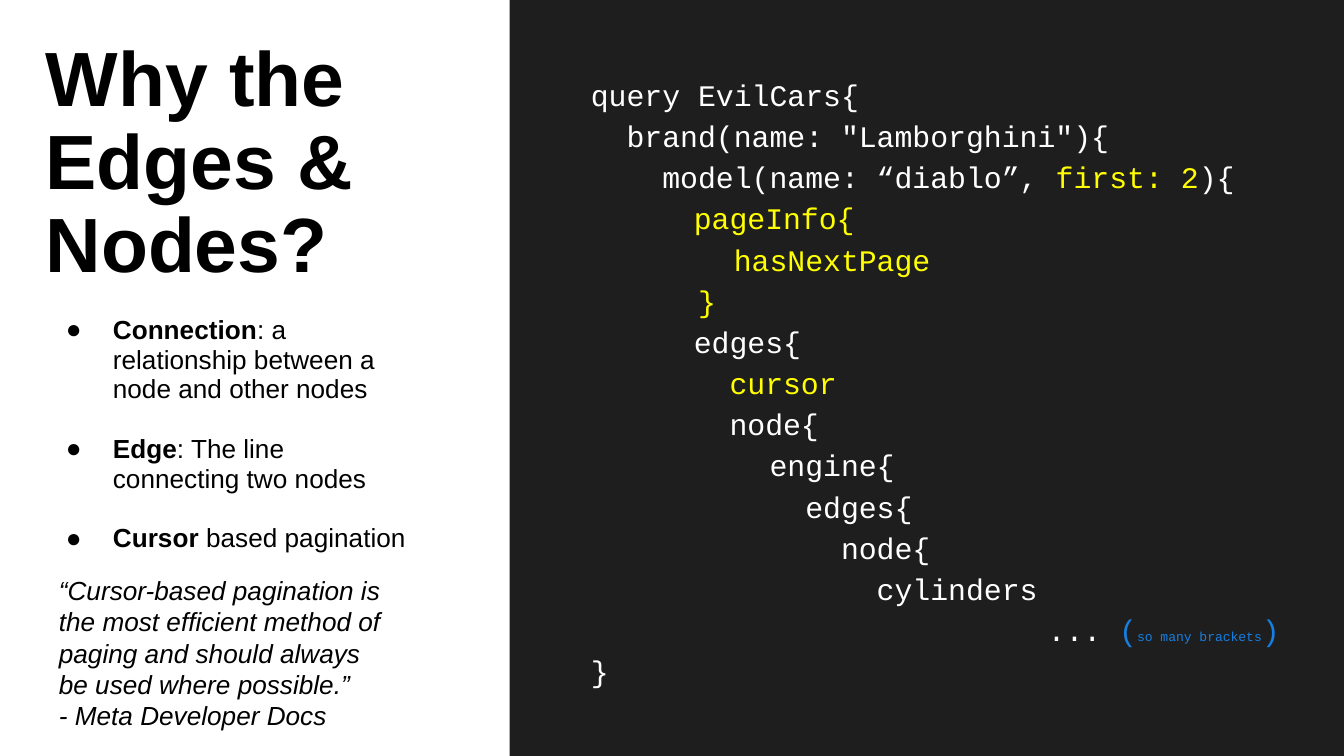
from pptx import Presentation
from pptx.dml.color import RGBColor
from pptx.enum.shapes import MSO_SHAPE as SHAPE
from pptx.enum.text import MSO_ANCHOR as ANCHOR, MSO_AUTO_SIZE as AUTO, PP_ALIGN as ALIGN
from pptx.oxml.ns import qn
from pptx.util import Pt
from lxml.etree import SubElement

WHITE = RGBColor(0xFF, 0xFF, 0xFF)
BLACK = RGBColor(0, 0, 0)
DARK = RGBColor(0x1E, 0x1E, 0x1E)
YELLOW = RGBColor(0xFF, 0xFF, 0)
BLUE = RGBColor(0x16, 0x7F, 0xE2)

# Content
TITLE = "Why the Edges & Nodes?"
TERMS = [
    ("Connection", ": a relationship between a node and other nodes"),
    ("Edge", ": The line connecting two nodes"),
    ("Cursor", " based pagination"),
]
QUOTE = [
    "“Cursor-based pagination is the most efficient method of paging "
    "and should always be used where possible.”",
    "- Meta Developer Docs",
]
# Each code line: first-line indent, then runs of (text, colour, size)
CODE = [
    (0, [("query EvilCars{", WHITE, 16)]),
    (0, [('  brand(name: "Lamborghini"){', WHITE, 16)]),
    (0, [("    model(name: “diablo”, ", WHITE, 16), ("first: 2", YELLOW, 16), ("){", WHITE, 16)]),
    (36, [("  pageInfo{", YELLOW, 16)]),
    (0, [("        hasNextPage", YELLOW, 16)]),
    (0, [("      }", YELLOW, 16)]),
    (36, [("  edges{", WHITE, 16)]),
    (36, [("    cursor", YELLOW, 16)]),
    (36, [("    node{", WHITE, 16)]),
    (0, [("          engine{", WHITE, 16)]),
    (0, [("            edges{", WHITE, 16)]),
    (0, [("              node{", WHITE, 16)]),
    (0, [("                cylinders", WHITE, 16)]),
    (216, [("   ... ", WHITE, 16), ("(", BLUE, 16), ("so many brackets", BLUE, 7), (")", BLUE, 16)]),
    (0, [("}", WHITE, 16)]),
]

# Layout in points
WIDTH, HEIGHT = 720, 405
LEFT, COLUMN = 24.5, 195
PANEL_LEFT = 273


def place(shape, left, top, width, height):
    shape.left, shape.top, shape.width, shape.height = map(Pt, (left, top, width, height))


def prepare(tf, inset):
    tf.word_wrap = True
    tf.auto_size = AUTO.NONE
    tf.vertical_anchor = ANCHOR.TOP
    tf.margin_left = tf.margin_right = tf.margin_top = tf.margin_bottom = Pt(inset)


def paragraphs(tf, count):
    return [tf.paragraphs[0]] + [tf.add_paragraph() for _ in range(count - 1)]


def style(font, name, size, color, bold=False, italic=False):
    font.name, font.size, font.bold, font.italic = name, Pt(size), bold, italic
    font.color.rgb = color


def space(p, line, before=0):
    p.alignment = ALIGN.LEFT
    p.line_spacing = line
    p.space_before = Pt(before)


def indent(p, margin, first):
    pPr = p._p.get_or_add_pPr()
    pPr.set("marL", str(Pt(margin)))
    pPr.set("indent", str(Pt(first)))
    return pPr


def add_bullet(p):
    pPr = indent(p, 36, -25.2)
    color = SubElement(pPr, qn("a:buClr"))
    SubElement(color, qn("a:srgbClr"), val=str(BLACK))
    SubElement(pPr, qn("a:buFont"), typeface="Arial")
    SubElement(pPr, qn("a:buChar"), char="●")


def add_box(s, left, top, width, height, fill=None):
    box = s.shapes.add_shape(SHAPE.RECTANGLE, *map(Pt, (left, top, width, height)))
    box.shadow.inherit = False
    box.line.fill.background()
    if fill is None:
        box.fill.background()
    else:
        box.fill.solid()
        box.fill.fore_color.rgb = fill
    prepare(box.text_frame, 7.2)
    return box


prs = Presentation()
prs.slide_width, prs.slide_height = Pt(WIDTH), Pt(HEIGHT)
s = prs.slides.add_slide(prs.slide_layouts[1])
title, body = s.placeholders

# Dark panel
add_box(s, PANEL_LEFT, 0, WIDTH - PANEL_LEFT, HEIGHT, DARK)

# Title
place(title, LEFT, 21.5, COLUMN, 85.5)
prepare(title.text_frame, 0)
title.text_frame.text = TITLE
p = title.text_frame.paragraphs[0]
space(p, 0.9)
style(p.runs[0].font, "Arial", 41.2, BLACK, bold=True)

# Terms
place(body, LEFT, 169, COLUMN, 102.5)
prepare(body.text_frame, 0)
for i, (p, term) in enumerate(zip(paragraphs(body.text_frame, len(TERMS)), TERMS)):
    space(p, 0.95, 16 if i else 0)
    add_bullet(p)
    for text, bold in zip(term, (True, False)):
        r = p.add_run()
        r.text = text
        style(r.font, "Arial", 14, BLACK, bold=bold)

# Query code
code = add_box(s, 309.5, 31, 391, 346.5, DARK)
for p, (first, runs) in zip(paragraphs(code.text_frame, len(CODE)), CODE):
    space(p, 1.15)
    indent(p, 0, first)
    for text, color, size in runs:
        r = p.add_run()
        r.text = text
        style(r.font, "Courier New", size, color)

# Quote
quote = add_box(s, LEFT, 300.5, 191, 99.5)
quote.line.color.rgb = WHITE
quote.line.width = Pt(0.75)
for p, text in zip(paragraphs(quote.text_frame, len(QUOTE)), QUOTE):
    p.text = text
    space(p, 1.0)
    style(p.runs[0].font, "Arial", 14, BLACK, italic=True)

prs.save("out.pptx")
